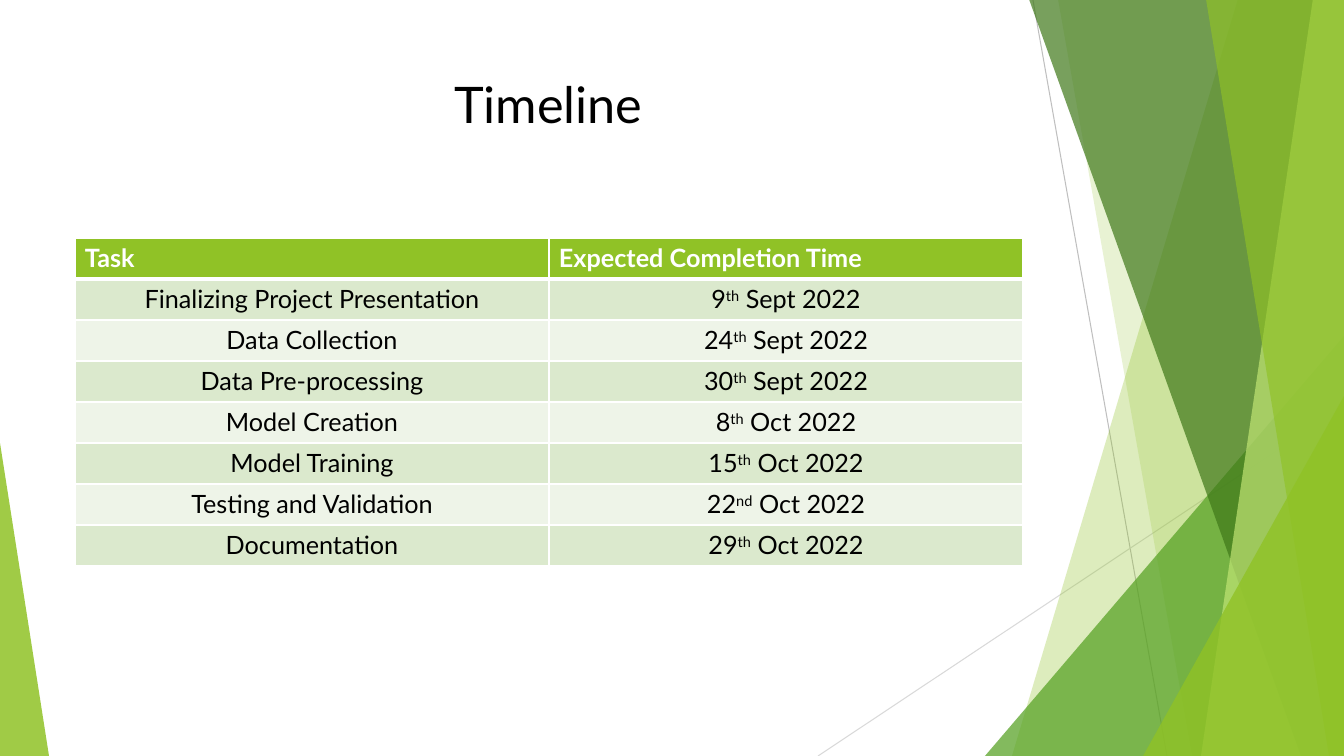
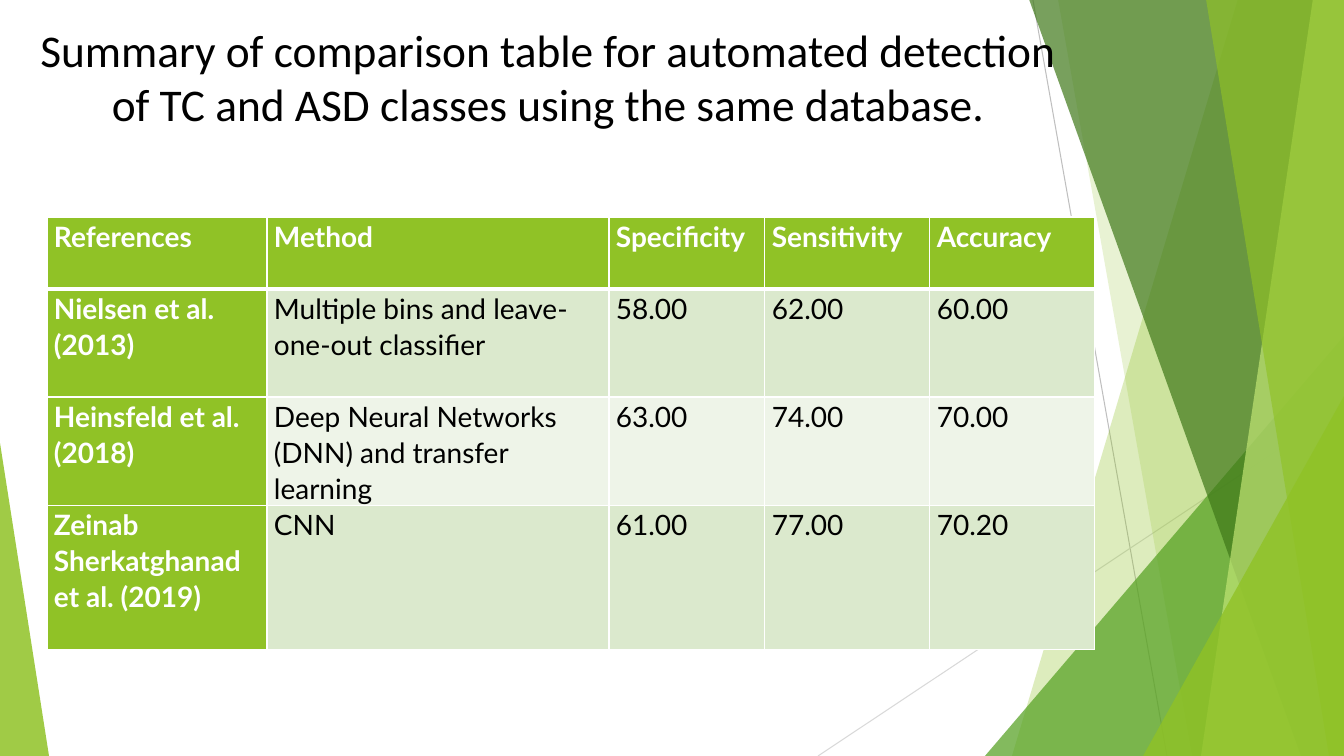
from dataclasses import dataclass

from lxml.etree import SubElement
from pptx import Presentation
from pptx.dml.color import RGBColor
from pptx.enum.shapes import MSO_CONNECTOR as Connector, MSO_SHAPE as Preset
from pptx.enum.text import MSO_ANCHOR as Anchor, MSO_AUTO_SIZE as AutoSize, PP_ALIGN as Align
from pptx.oxml.ns import qn
from pptx.util import Emu, Pt

PX = 914400 / 100.8
WIDTH, HEIGHT = 1344, 756
COLORS = {
    "black": "000000",
    "white": "FFFFFF",
    "lime": "90C226",
    "green": "54A021",
    "forest": "3F7819",
    "pale lime": "C0E474",
    "gray": "BFBFBF",
    "light gray": "D9D9D9",
    "dark band": "DBE9CD",
    "light band": "EEF4E8",
}


@dataclass(frozen=True)
class Box:
    left: int
    top: int
    width: int
    height: int


@dataclass(frozen=True)
class Ray:
    start: tuple[int, int]
    end: tuple[int, int]
    color: str


@dataclass(frozen=True)
class Facet:
    top_x: int
    foot_x: int
    color: str
    opacity: int


@dataclass(frozen=True)
class Triangle:
    box: Box
    apex: int
    color: str
    opacity: int


@dataclass(frozen=True)
class Heading:
    text: str
    box: Box
    font: str
    size: float


@dataclass(frozen=True)
class Grid:
    left: int
    top: int
    columns: tuple[int, ...]
    heights: tuple[int, ...]
    rows: tuple[tuple[str, ...], ...]
    size: int
    body_align: Align = Align.LEFT
    side_header: bool = False
    margins: tuple[int, int] = (10, 5)
    line_spacing: float = 1.0


RAYS = (
    Ray((1033, 0), (1167, HEIGHT), "gray"),
    Ray((WIDTH, 406), (818, HEIGHT), "light gray"),
)
PANES = (
    Facet(1238, 1012, "lime", 30),
    Facet(1058, 1192, "lime", 20),
    Triangle(Box(985, 336, 359, 420), 1, "green", 72),
    Facet(1029, 1301, "forest", 70),
    Facet(1313, 1201, "pale lime", 70),
    Facet(1206, 1329, "lime", 65),
    Triangle(Box(1143, 396, 201, 360), 1, "lime", 80),
    Triangle(Box(0, 443, 49, 313), 0, "lime", 85),
)
SLIDES = (
    (
        Heading("Timeline", Box(75, 68, 947, 145), "Lato", 36),
        Grid(
            75, 238, (474, 474), (41,) * 8,
            (
                ("Task", "Expected Completion Time"),
                ("Finalizing Project Presentation", "9^th^ Sept 2022"),
                ("Data Collection", "24^th^ Sept 2022"),
                ("Data Pre-processing", "30^th^ Sept 2022"),
                ("Model Creation", "8^th^ Oct 2022"),
                ("Model Training", "15^th^ Oct 2022"),
                ("Testing and Validation", "22^nd^ Oct 2022"),
                ("Documentation", "29^th^ Oct 2022"),
            ),
            18, body_align=Align.CENTER,
        ),
    ),
    (
        Heading(
            "Summary of comparison table for automated detection of TC and ASD "
            "classes using the same database.",
            Box(24, 17, 1048, 145), "Calibri", 32.4,
        ),
        Grid(
            47, 217, (220, 342, 156, 165, 165), (72, 108, 108, 144),
            (
                ("References", "Method", "Specificity", "Sensitivity", "Accuracy"),
                ("Nielsen et al. (2013)", "Multiple bins and leave- one-out classifier",
                 "58.00", "62.00", "60.00"),
                ("Heinsfeld et al. (2018)", "Deep Neural Networks (DNN) and transfer learning",
                 "63.00", "74.00", "70.00"),
                ("Zeinab Sherkatghanad et al. (2019)", "CNN", "61.00", "77.00", "70.20"),
            ),
            20, side_header=True, margins=(7, 0), line_spacing=1.07,
        ),
    ),
)


def px(length: int) -> Emu:
    return Emu(round(length * PX))


def rgb(name: str) -> RGBColor:
    return RGBColor.from_string(COLORS[name])


def place(box: Box) -> tuple[Emu, ...]:
    return px(box.left), px(box.top), px(box.width), px(box.height)


def add_ray(page, ray: Ray):
    line = page.shapes.add_connector(
        Connector.STRAIGHT, *map(px, ray.start), *map(px, ray.end)
    )
    line.line.color.rgb = rgb(ray.color)
    line.line.width = Pt(0.75)
    SubElement(line.element.spPr, qn("a:effectLst"))
    return line


def add_pane(page, pane: Facet | Triangle):
    if isinstance(pane, Facet):
        outline = page.shapes.build_freeform(pane.top_x, -1, PX)
        outline.add_line_segments(
            [(WIDTH, -1), (WIDTH, HEIGHT), (pane.foot_x, HEIGHT)], close=True
        )
        shape = outline.convert_to_shape()
    else:
        shape = page.shapes.add_shape(Preset.ISOSCELES_TRIANGLE, *place(pane.box))
        shape.adjustments[0] = pane.apex
    shape.shadow.inherit = False
    shape.line.fill.background()
    shape.fill.solid()
    shape.fill.fore_color.rgb = rgb(pane.color)
    color = shape.element.xpath("./p:spPr/a:solidFill/a:srgbClr")[0]
    SubElement(color, qn("a:alpha"), val=str(pane.opacity * 1000))
    return shape


def decorate_layout(layout, page) -> None:
    art = [add_ray(page, ray) for ray in RAYS] + [add_pane(page, pane) for pane in PANES]
    for number, shape in enumerate(art, start=100):
        shape.element.xpath(".//p:cNvPr")[0].set("id", str(number))
        layout.shapes.element.append(shape.element)


def add_span(para, text: str, font: str, size: float, color: str, bold: bool = False):
    span = para.add_run()
    span.text = text
    span.font.name = font
    span.font.size = Pt(size)
    span.font.bold = bold
    span.font.color.rgb = rgb(color)
    return span


def set_heading(page, heading: Heading) -> None:
    title = page.shapes.title
    title.left, title.top, title.width, title.height = place(heading.box)
    frame = title.text_frame
    frame.word_wrap = True
    frame.auto_size = AutoSize.NONE
    frame.vertical_anchor = Anchor.TOP
    para = frame.paragraphs[0]
    para.alignment = Align.CENTER
    add_span(para, heading.text, heading.font, heading.size, "black")


def set_borders(cell, row: int) -> None:
    properties = cell._tc.get_or_add_tcPr()
    widths = {"L": 1, "R": 1, "T": 3 if row == 1 else 1, "B": 3 if row == 0 else 1}
    for side, width in widths.items():
        border = SubElement(properties, qn(f"a:ln{side}"), w=str(Pt(width)))
        fill = SubElement(border, qn("a:solidFill"))
        SubElement(fill, qn("a:srgbClr"), val=COLORS["white"])


def fill_cell(cell, grid: Grid, row: int, column: int) -> None:
    header = row == 0 or (grid.side_header and column == 0)
    band = "dark band" if row % 2 else "light band"
    set_borders(cell, row)
    cell.fill.solid()
    cell.fill.fore_color.rgb = rgb("lime" if header else band)
    side, edge = map(px, grid.margins)
    cell.margin_left = cell.margin_right = side
    cell.margin_top = cell.margin_bottom = edge
    para = cell.text_frame.paragraphs[0]
    para.alignment = Align.LEFT if header else grid.body_align
    para.line_spacing = grid.line_spacing
    for index, piece in enumerate(grid.rows[row][column].split("^")):
        span = add_span(para, piece, "Lato", grid.size, "white" if header else "black", header)
        if index % 2:
            span._r.get_or_add_rPr().set("baseline", "30000")


def add_grid(page, grid: Grid) -> None:
    box = Box(grid.left, grid.top, sum(grid.columns), sum(grid.heights))
    table = page.shapes.add_table(len(grid.heights), len(grid.columns), *place(box)).table
    for column, width in zip(table.columns, grid.columns):
        column.width = px(width)
    for row, height in zip(table.rows, grid.heights):
        row.height = px(height)
    for row in range(len(grid.heights)):
        for column in range(len(grid.columns)):
            fill_cell(table.cell(row, column), grid, row, column)


def main() -> None:
    deck = Presentation()
    deck.slide_width, deck.slide_height = px(WIDTH), px(HEIGHT)
    layout = deck.slide_layouts.get_by_name("Title Only")
    pages = [deck.slides.add_slide(layout) for _ in SLIDES]
    decorate_layout(layout, pages[0])
    for page, (heading, grid) in zip(pages, SLIDES):
        set_heading(page, heading)
        add_grid(page, grid)
    deck.save("out.pptx")


if __name__ == "__main__":
    main()
